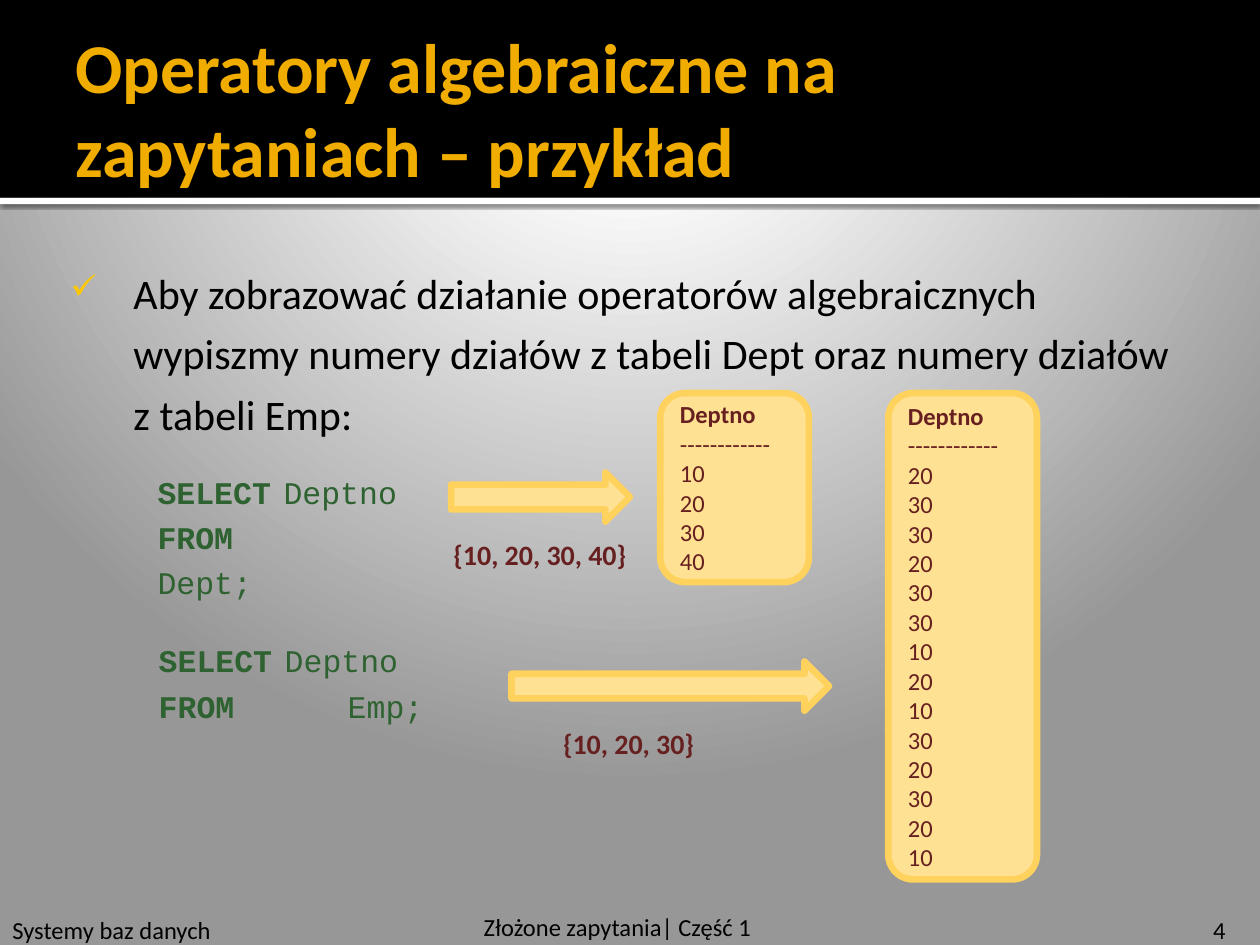
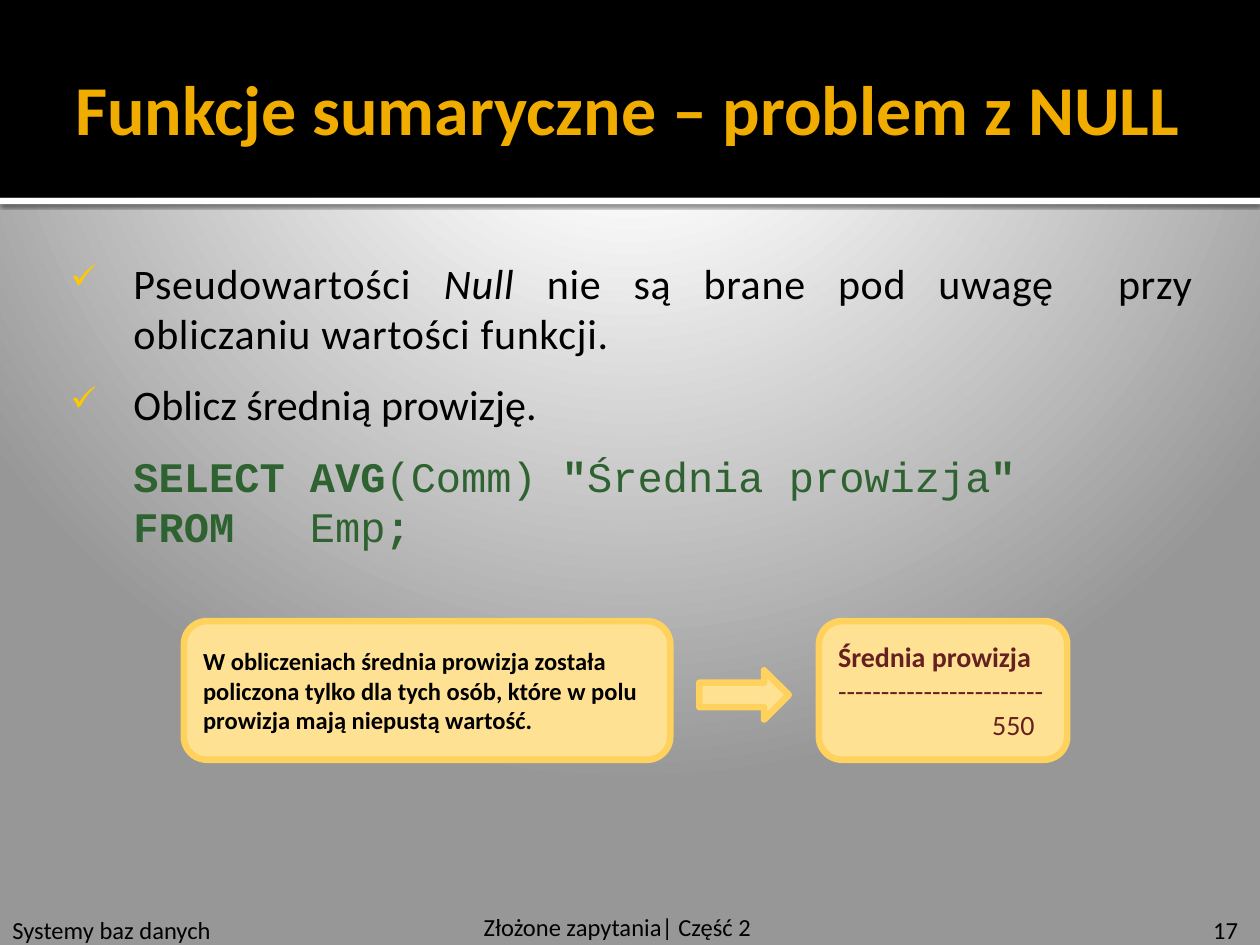
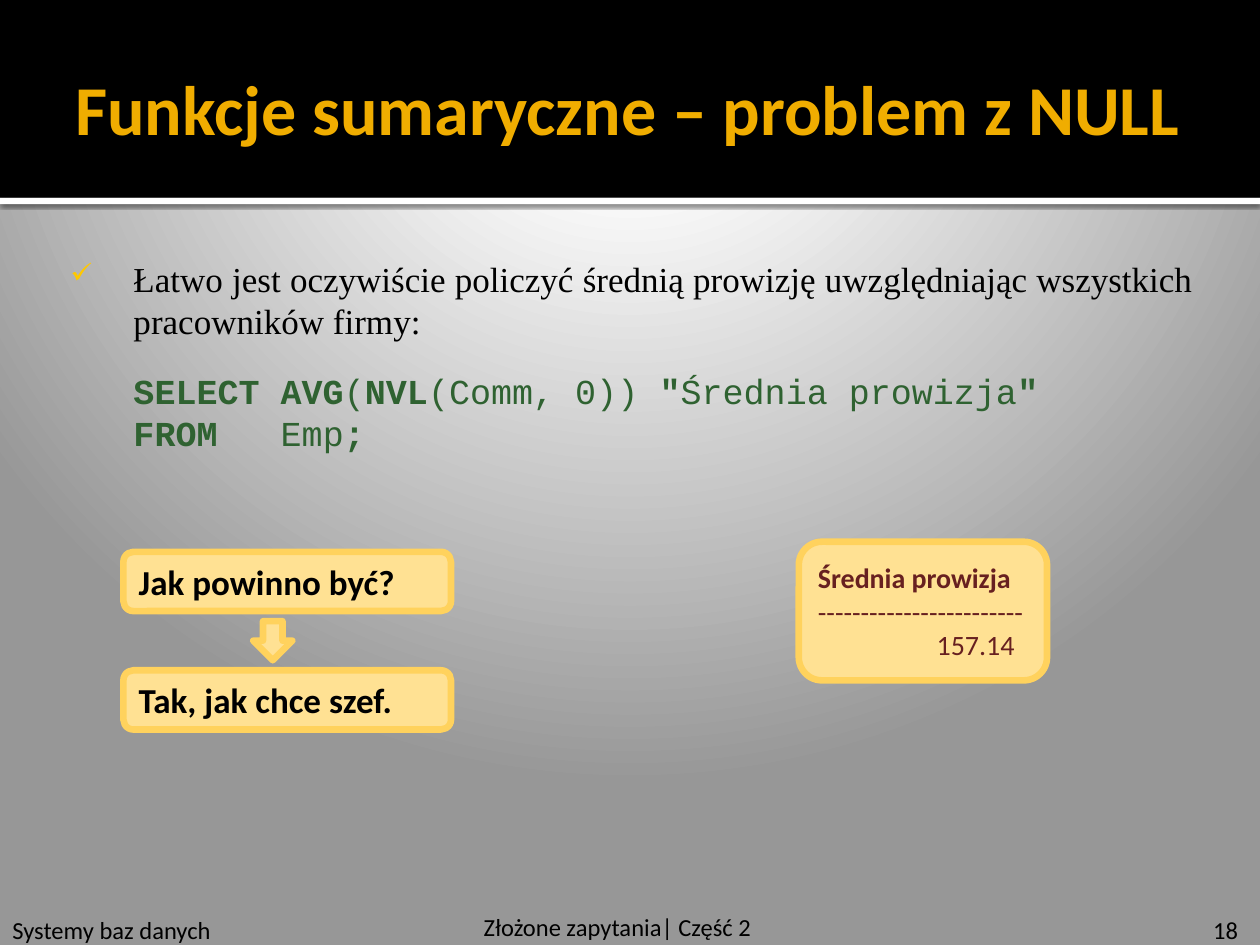
from pptx import Presentation
from pptx.dml.color import RGBColor
from pptx.enum.shapes import MSO_SHAPE as Preset
from pptx.enum.text import MSO_ANCHOR as Anchor, PP_ALIGN as Align
from pptx.oxml import parse_xml
from pptx.oxml.ns import nsdecls, qn
from pptx.util import Inches, Pt

BLACK, WHITE, GREY = "000000", "FFFFFF", "979797"
TITLE, CHECK = "F0AD00", "FFC800"
CARD, CARD_LINE = "FFE193", "FFD25D"
MAROON, GREEN = "672020", "2F6231"
WIDTH, HEIGHT = 10, 7.5
BAND_HEIGHT = 1.57
DEFAULT_INSETS = (0.1, 0.05, 0.1, 0.05)
BODY_INSETS = (0.06, 0.1, 0.1, 0.05)
BODY = dict(size=24, indent=(0.5, -0.5), before=50, bullet="✓")
JUSTIFIED = dict(BODY, align=Align.JUSTIFY)
SQL = dict(size=24, font="Courier New", color=GREEN, indent=(0.5, 0), before=50)
LISTING = dict(size=18, font="Courier New", color=GREEN, indent=(0.69, -0.56),
               line=1.2, tab=(1.57, "l"))


def rgb(color):
    """Turn a hex string into a colour."""
    return RGBColor.from_string(color)


def add_xml(parent, tag, attributes="", inner=""):
    """Append one drawing element to a parent."""
    parent.append(parse_xml(f"<a:{tag} {nsdecls('a')} {attributes}>{inner}</a:{tag}>"))


def format_paragraph(paragraph, align=Align.LEFT, indent=None, line=None,
                     before=None, bullet=None, tab=None):
    """Set alignment, indents, spacing, bullet and tab stop of a paragraph."""
    paragraph.alignment = align
    if line:
        paragraph.line_spacing = line
    properties = paragraph._p.get_or_add_pPr()
    if indent:
        for name, value in zip(("marL", "indent"), indent):
            properties.set(name, str(Inches(value)))
    if before:
        add_xml(properties, "spcBef", inner=f'<a:spcPct val="{before * 1000}"/>')
    if bullet:
        add_xml(properties, "buClr", inner=f'<a:srgbClr val="{CHECK}"/>')
        add_xml(properties, "buSzPct", 'val="80000"')
        add_xml(properties, "buChar", f'char="{bullet}"')
    if tab:
        position, side = tab
        add_xml(properties, "tabLst",
                inner=f'<a:tab pos="{Inches(position)}" algn="{side}"/>')


def add_text(paragraph, text, size=14, font="Calibri", color=BLACK, bold=False,
             emphasis="bold", tracking=0, **layout):
    """Write text into a paragraph, with emphasis on the parts between asterisks."""
    format_paragraph(paragraph, **layout)
    for part_index, part in enumerate(text.split("*")):
        for line_index, line in enumerate(part.split("\n")):
            if line_index:
                paragraph.add_line_break()
            if not line:
                continue
            run = paragraph.add_run()
            run.text = line
            run.font.size, run.font.name, run.font.bold = Pt(size), font, bold
            run.font.color.rgb = rgb(color)
            if part_index % 2:
                setattr(run.font, emphasis, True)
            if tracking:
                run._r.get_or_add_rPr().set("spc", str(tracking))


def fill_frame(shape, paragraphs, anchor=Anchor.TOP, insets=DEFAULT_INSETS):
    """Write (text, format) pairs as the paragraphs of a shape."""
    frame = shape.text_frame
    frame.word_wrap = True
    frame.vertical_anchor = anchor
    (frame.margin_left, frame.margin_top,
     frame.margin_right, frame.margin_bottom) = map(Inches, insets)
    for index, (text, style) in enumerate(paragraphs):
        paragraph = frame.add_paragraph() if index else frame.paragraphs[0]
        add_text(paragraph, text, **style)


def add_label(slide, box, *paragraphs, **frame_options):
    """Add a text box that holds (text, format) pairs."""
    shape = slide.shapes.add_textbox(*map(Inches, box))
    fill_frame(shape, paragraphs, **frame_options)


def add_block(slide, preset, box, fill, line=None):
    """Add a flat preset shape."""
    shape = slide.shapes.add_shape(preset, *map(Inches, box))
    shape.shadow.inherit = False
    shape.fill.solid()
    shape.fill.fore_color.rgb = rgb(fill)
    if line:
        shape.line.color.rgb = rgb(line)
        shape.line.width = Pt(3.78)
    else:
        shape.line.fill.background()
    return shape


def add_card(slide, box, *paragraphs):
    """Add a rounded yellow card with text."""
    card = add_block(slide, Preset.ROUNDED_RECTANGLE, box, CARD, CARD_LINE)
    fill_frame(card, paragraphs, anchor=Anchor.MIDDLE)


def add_arrow(slide, box, preset=Preset.RIGHT_ARROW):
    """Add a yellow block arrow."""
    add_block(slide, preset, box, CARD, CARD_LINE)


def add_captioned_arrow(slide, left, top, width, caption, caption_left):
    """Add a right arrow with a set of values below it."""
    add_arrow(slide, (left, top, width, 0.39))
    add_label(slide, (caption_left, top + 0.47, 1.65, 0.37),
              (caption, dict(size=16, color=MAROON, bold=True)))


def add_column_card(slide, left, top, height, values):
    """Add a card that lists the department numbers of a query result."""
    style = dict(color=MAROON)
    add_card(slide, (left, top, 1.18, height), ("*Deptno*", style),
             ("-" * 12, style), *((str(value), style) for value in values))


def add_average_card(slide, left, top, value):
    """Add a card that shows the average commission."""
    style = dict(size=16, color=MAROON)
    add_card(slide, (left, top, 1.97, 1.1), ("*Średnia prowizja*", style),
             ("-" * 24, style), ("\t" + value, dict(style, tab=(1.56, "r"))))


def set_background(slide):
    """Give the slide a round white-to-grey gradient."""
    stops = "".join(f'<a:gs pos="{position * 1000}"><a:srgbClr val="{color}"/></a:gs>'
                    for position, color in ((0, WHITE), (20, WHITE), (100, GREY)))
    slide._element.cSld.insert(0, parse_xml(
        f'<p:bg {nsdecls("p", "a")}><p:bgPr><a:gradFill rotWithShape="1">'
        f'<a:gsLst>{stops}</a:gsLst><a:path path="circle">'
        '<a:fillToRect l="10000" t="-25000" r="10000" b="125000"/></a:path>'
        '</a:gradFill><a:effectLst/></p:bgPr></p:bg>'))


def add_header(slide, title):
    """Add the black band, its white edge and the title."""
    edge = add_block(slide, Preset.RECTANGLE, (0, BAND_HEIGHT, WIDTH, 0.05), WHITE)
    add_xml(edge._element.spPr.find(qn("a:effectLst")), "outerShdw",
            f'blurRad="{Pt(2.5)}" dist="{Pt(0.8)}" dir="5400000" rotWithShape="0"',
            f'<a:srgbClr val="{BLACK}"><a:alpha val="60000"/></a:srgbClr>')
    add_block(slide, Preset.RECTANGLE, (0, 0, WIDTH, BAND_HEIGHT), BLACK)
    add_label(slide, (0.5, 0.13, 9, 1.45),
              (title, dict(size=40, color=TITLE, bold=True)),
              anchor=Anchor.MIDDLE, insets=(0.1, 0.05, 0.05, 0.05))


def add_footer(slide, part, number):
    """Add the course name, the lecture part and the slide number."""
    add_label(slide, (0, 7.21, 2.87, 0.34), ("Systemy baz danych", {}))
    add_label(slide, (3.74, 7.19, 2.83, 0.34),
              (f"Złożone zapytania| Część {part}", {}))
    add_label(slide, (9.53, 7.21, 0.47, 0.34), (str(number), {}))


def start_slide(presentation, title, part, number):
    """Add a slide with the shared background, header and footer."""
    slide = presentation.slides.add_slide(presentation.slide_layouts[6])
    set_background(slide)
    add_header(slide, title)
    add_footer(slide, part, number)
    return slide


def build_operators_slide(presentation):
    """Build the slide that compares the department numbers of two tables."""
    slide = start_slide(presentation,
                        "Operatory algebraiczne na zapytaniach – przykład", 1, 4)
    add_label(slide, (0.5, 1.94, 9, 1.61),
              ("Aby zobrazować działanie operatorów algebraicznych wypiszmy numery "
               "działów z tabeli Dept oraz numery działów z tabeli Emp:",
               dict(BODY, line=1.2)), insets=BODY_INSETS)
    for box, table in (((0.5, 3.59, 3.08, 0.88), "Dept"),
                       ((0.51, 4.93, 3.31, 0.88), "Emp")):
        add_label(slide, box, (f"\t*SELECT*\tDeptno\n*FROM*\t\t{table};", LISTING),
                  insets=BODY_INSETS)
    add_column_card(slide, 5.24, 3.12, 1.5, (10, 20, 30, 40))
    add_column_card(slide, 7.05, 3.12, 3.86,
                    (20, 30, 30, 20, 30, 30, 10, 20, 10, 30, 20, 30, 20, 10))
    add_captioned_arrow(slide, 3.58, 3.75, 1.42, "{10, 20, 30, 40}", 3.5)
    add_captioned_arrow(slide, 4.06, 5.25, 2.52, "{10, 20, 30}", 4.37)


def build_null_slide(presentation):
    """Build the slide on averages that skip empty values."""
    slide = start_slide(presentation, "Funkcje sumaryczne – problem z NULL", 2, 17)
    add_label(slide, (0.5, 1.94, 9.07, 3.18),
              ("Pseudowartości *Null* nie są brane pod uwagę  przy obliczaniu "
               "wartości funkcji.", dict(JUSTIFIED, emphasis="italic", tracking=40)),
              ("Oblicz średnią prowizję.", JUSTIFIED),
              ('*SELECT AVG*(Comm) *"*Średnia prowizja*"\nFROM*   Emp*;*', SQL),
              insets=BODY_INSETS)
    add_card(slide, (1.46, 4.93, 3.86, 1.1),
             ("W obliczeniach średnia prowizja została policzona tylko dla tych osób, "
              "które w polu prowizja mają niepustą wartość.", dict(bold=True)))
    add_arrow(slide, (5.55, 5.32, 0.71, 0.39))
    add_average_card(slide, 6.5, 4.93, "550")


def build_nvl_slide(presentation):
    """Build the slide on averages that count empty values as zero."""
    slide = start_slide(presentation, "Funkcje sumaryczne – problem z NULL", 2, 18)
    add_label(slide, (0.5, 1.94, 9.07, 1.97),
              ("Łatwo jest oczywiście policzyć średnią prowizję uwzględniając "
               "wszystkich pracowników firmy:",
               dict(JUSTIFIED, size=20, font="Times New Roman")),
              ('*SELECT AVG*(*NVL*(Comm, 0)) *"*Średnia prowizja*"\nFROM*   Emp*;*',
               dict(SQL, size=20, before=80)),
              insets=BODY_INSETS)
    for top, text in ((4.38, "Jak powinno być?"), (5.32, "Tak, jak chce szef.")):
        add_card(slide, (0.98, top, 2.6, 0.47), (text, dict(size=20, bold=True)))
    add_arrow(slide, (2.01, 4.93, 0.31, 0.31), Preset.DOWN_ARROW)
    add_average_card(slide, 6.34, 4.3, "157.14")


def main():
    """Build and save the presentation."""
    presentation = Presentation()
    presentation.slide_width, presentation.slide_height = Inches(WIDTH), Inches(HEIGHT)
    build_operators_slide(presentation)
    build_null_slide(presentation)
    build_nvl_slide(presentation)
    presentation.save("out.pptx")


if __name__ == "__main__":
    main()
